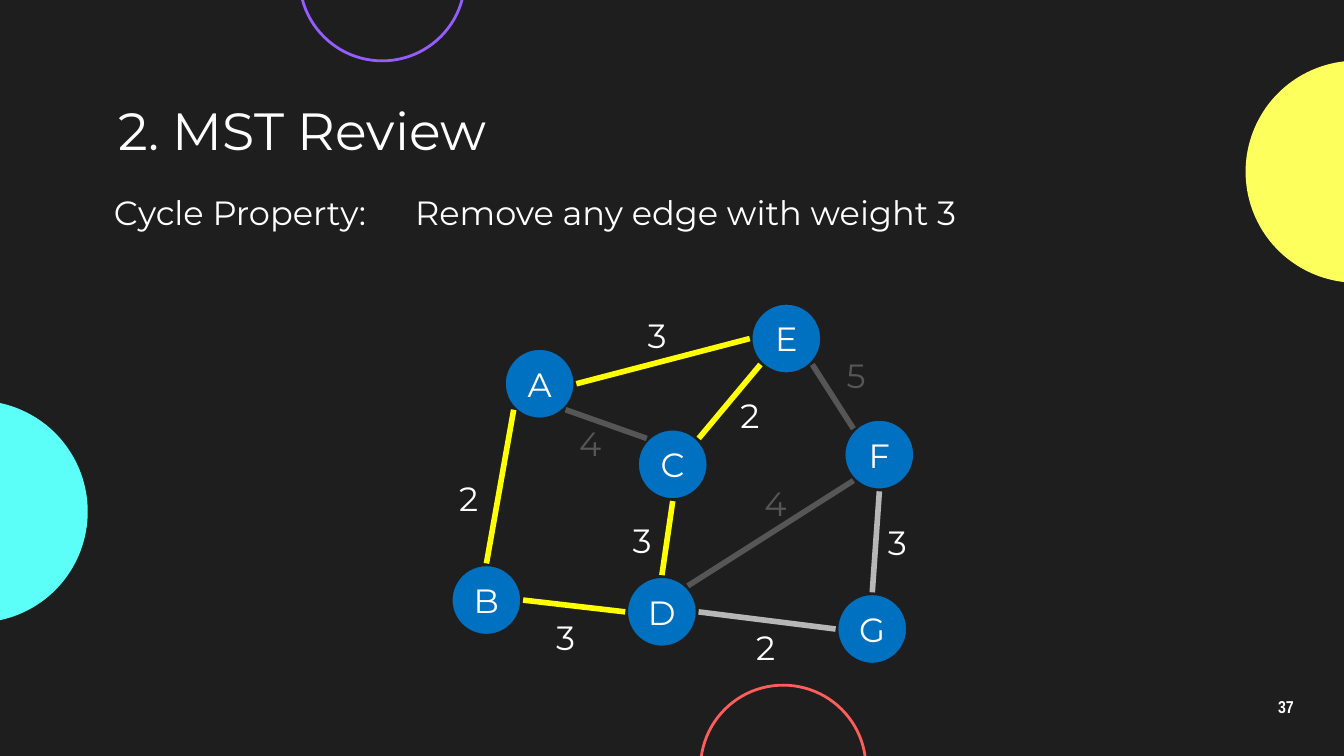
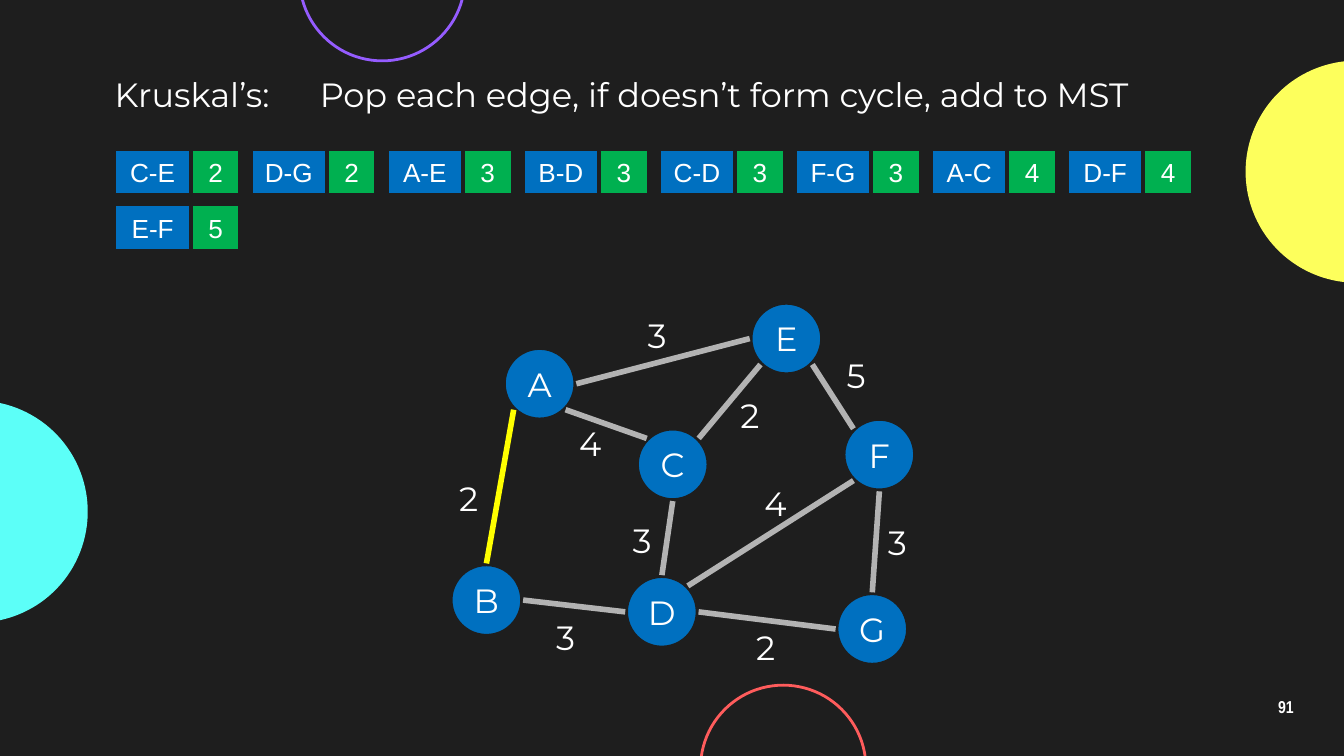
from math import cos, radians, sin

from lxml import etree
from pptx import Presentation
from pptx.dml.color import RGBColor
from pptx.enum import shapes, text
from pptx.oxml import ns
from pptx.util import Pt

BACKGROUND = RGBColor(0x1E, 0x1E, 0x1E)
WHITE = RGBColor(0xFF, 0xFF, 0xFF)
CYAN = RGBColor(0x5C, 0xFF, 0xF8)
LEMON = RGBColor(0xFD, 0xFF, 0x5C)
PURPLE = RGBColor(0x95, 0x5C, 0xFF)
CORAL = RGBColor(0xFF, 0x5C, 0x5C)
BLUE = RGBColor(0x00, 0x70, 0xC0)
GREEN = RGBColor(0x00, 0xB0, 0x50)
CHOSEN = RGBColor(0xFF, 0xFF, 0x00)
REMOVED = RGBColor(0x56, 0x56, 0x56)
CYCLE_EDGE = RGBColor(0xB7, 0xB7, 0xB7)
KRUSKAL_EDGE = RGBColor(0xB3, 0xB3, 0xB3)

HEADING_FONT = "Montserrat"
CHIP_FONT = "Arial"
NUMBER_FONT = "Arial Narrow"

OVAL = shapes.MSO_SHAPE.OVAL
RECTANGLE = shapes.MSO_SHAPE.RECTANGLE
CENTER = text.PP_ALIGN.CENTER
MIDDLE = text.MSO_ANCHOR.MIDDLE

# left, top, diameter, fill, outline
DECORATIONS = [
    (-72, 214.6, 119, CYAN, None),
    (667.3, 32.5, 119, LEMON, None),
    (160.5, -56, 88.6, None, PURPLE),
    (375.3, 367.1, 88.6, None, CORAL),
]

NODE_SIZE = 39.3
NODE_CENTERS = {
    "A": (289.1, 205.6), "E": (421.3, 181.4), "C": (360.4, 248.8),
    "F": (471.1, 243.6), "D": (354.6, 327.8), "G": (467.3, 337),
    "B": (260.6, 321.5),
}

# Clockwise angles of the points where edges meet a node
RIGHT, LOWER_RIGHT, BOTTOM, LOWER_LEFT = 0, 45, 90, 135
LEFT, UPPER_LEFT, TOP, UPPER_RIGHT = 180, 225, 270, 315

# edge: weight, start angle, end angle, left and top of the weight label
EDGES = {
    "A-E": (3, RIGHT, LEFT, 339.8, 164.9),
    "A-C": (4, LOWER_RIGHT, UPPER_LEFT, 303.2, 223.2),
    "C-E": (2, UPPER_RIGHT, LOWER_LEFT, 389.5, 208),
    "A-B": (2, LOWER_LEFT, TOP, 238.9, 252.7),
    "B-D": (3, RIGHT, LEFT, 290.9, 327),
    "C-D": (3, BOTTOM, TOP, 331.8, 275),
    "D-F": (4, UPPER_RIGHT, LOWER_LEFT, 402.4, 255.4),
    "D-G": (2, RIGHT, LEFT, 398, 332.1),
    "F-G": (3, BOTTOM, TOP, 468.5, 276.2),
    "E-F": (5, LOWER_RIGHT, UPPER_LEFT, 446.4, 186.6),
}

QUEUE = ["C-E", "D-G", "A-E", "B-D", "C-D", "F-G", "A-C", "D-F", "E-F"]
QUEUE_COLUMNS = 8
QUEUE_LEFT, QUEUE_TOP = 61.4, 79.7
QUEUE_PITCH_X, QUEUE_PITCH_Y = 72.9, 29.8
NAME_WIDTH, WEIGHT_WIDTH, CHIP_HEIGHT = 40.8, 26.6, 24.9


def write(frame, words, size, font=HEADING_FONT, color=WHITE, bold=False):
    paragraph = frame.paragraphs[0]
    run = paragraph.add_run()
    run.text = words
    run.font.size = Pt(size)
    run.font.name = font
    run.font.color.rgb = color
    run.font.bold = bold
    return paragraph


def set_margins(frame, margin):
    frame.margin_left = frame.margin_right = Pt(margin)
    frame.margin_top = frame.margin_bottom = Pt(margin)


def add_text(slide, words, left, top, width, height=29, size=18, wrap=True, **style):
    box = slide.shapes.add_textbox(Pt(left), Pt(top), Pt(width), Pt(height))
    box.text_frame.word_wrap = wrap
    return box.text_frame, write(box.text_frame, words, size, **style)


def add_figure(parent, preset, left, top, width, height, fill, line, line_width):
    figure = parent.shapes.add_shape(preset, Pt(left), Pt(top), Pt(width), Pt(height))
    figure.shadow.inherit = False
    if fill is None:
        figure.fill.background()
    else:
        figure.fill.solid()
        figure.fill.fore_color.rgb = fill
    if line is None:
        figure.line.fill.background()
    else:
        figure.line.color.rgb = line
        figure.line.width = Pt(line_width)
    return figure


def add_centered_text(figure, words, size, font):
    frame = figure.text_frame
    set_margins(frame, 0)
    frame.vertical_anchor = MIDDLE
    write(frame, words, size, font).alignment = CENTER


def add_base_slide(prs, number):
    """Add a blank slide with the circles at its borders and its number."""
    slide = prs.slides.add_slide(prs.slide_layouts[6])
    slide.background.fill.solid()
    slide.background.fill.fore_color.rgb = BACKGROUND
    for left, top, diameter, fill, outline in DECORATIONS:
        add_figure(slide, OVAL, left, top, diameter, diameter, fill, outline, 1.5)
    frame, paragraph = add_text(slide, str(number), 667.3, 367, 43.2, 24.5,
                                size=9.2, font=NUMBER_FONT, bold=True)
    set_margins(frame, 7.2)
    frame.vertical_anchor = MIDDLE
    paragraph.alignment = CENTER
    paragraph.line_spacing = 0.9
    return slide


def add_title(slide, words):
    frame, _ = add_text(slide, words, 56.2, 51.1, 607.7, 36.7, size=28)
    set_margins(frame, 7.2)
    frame.vertical_anchor = MIDDLE


def rim_point(node, angle):
    x, y = NODE_CENTERS[node]
    radius = NODE_SIZE / 2
    return (Pt(x + radius * cos(radians(angle))),
            Pt(y + radius * sin(radians(angle))))


def add_edge(slide, edge, color):
    start, end = edge.split("-")
    _, start_angle, end_angle, _, _ = EDGES[edge]
    connector = slide.shapes.add_connector(
        shapes.MSO_CONNECTOR.STRAIGHT,
        *rim_point(start, start_angle), *rim_point(end, end_angle))
    connector.line.color.rgb = color
    connector.line.width = Pt(3)
    etree.SubElement(connector.element.spPr, ns.qn("a:effectLst"))


def add_graph(slide, edge_color, chosen, removed=()):
    """Draw the weighted graph, with chosen edges lit and removed ones dimmed."""
    for node, (x, y) in NODE_CENTERS.items():
        circle = add_figure(slide, OVAL, x - NODE_SIZE / 2, y - NODE_SIZE / 2,
                            NODE_SIZE, NODE_SIZE, BLUE, BACKGROUND, 3)
        add_centered_text(circle, node, 18, HEADING_FONT)
    for edge in EDGES:
        color = CHOSEN if edge in chosen else REMOVED if edge in removed else edge_color
        add_edge(slide, edge, color)
    for edge, (weight, _, _, left, top) in EDGES.items():
        add_text(slide, str(weight), left, top, 27,
                 color=REMOVED if edge in removed else WHITE)


def add_queue(slide):
    """Lay out the sorted edges as pairs of name and weight."""
    for index, edge in enumerate(QUEUE):
        row, column = divmod(index, QUEUE_COLUMNS)
        left = QUEUE_LEFT + column * QUEUE_PITCH_X
        top = QUEUE_TOP + row * QUEUE_PITCH_Y
        pair = slide.shapes.add_group_shape()
        for words, x, width, fill in (
                (edge, left, NAME_WIDTH, BLUE),
                (str(EDGES[edge][0]), left + NAME_WIDTH, WEIGHT_WIDTH, GREEN)):
            chip = add_figure(pair, RECTANGLE, x, top, width, CHIP_HEIGHT,
                              fill, BACKGROUND, 2)
            add_centered_text(chip, words, 14, CHIP_FONT)


def add_cycle_slide(prs):
    slide = add_base_slide(prs, 37)
    add_title(slide, "2. MST Review")
    add_graph(slide, CYCLE_EDGE, chosen=("A-E", "C-E", "A-B", "B-D", "C-D"),
              removed=("A-C", "D-F", "E-F"))
    add_text(slide, "Cycle Property:", 54, 99.4, 161.3)
    add_text(slide, "Remove any edge with weight 3", 215.3, 99.4, 500)


def add_kruskal_slide(prs):
    slide = add_base_slide(prs, 91)
    add_graph(slide, KRUSKAL_EDGE, chosen=("A-B",))
    add_text(slide, "Kruskal’s:", 54.3, 36.2, 103, wrap=False)
    add_text(slide, "Pop each edge, if doesn’t form cycle, add to MST",
             164.2, 36.2, 470, wrap=False)
    add_queue(slide)


def main():
    prs = Presentation()
    prs.slide_width, prs.slide_height = Pt(720), Pt(405)
    add_cycle_slide(prs)
    add_kruskal_slide(prs)
    prs.save("out.pptx")


if __name__ == "__main__":
    main()
